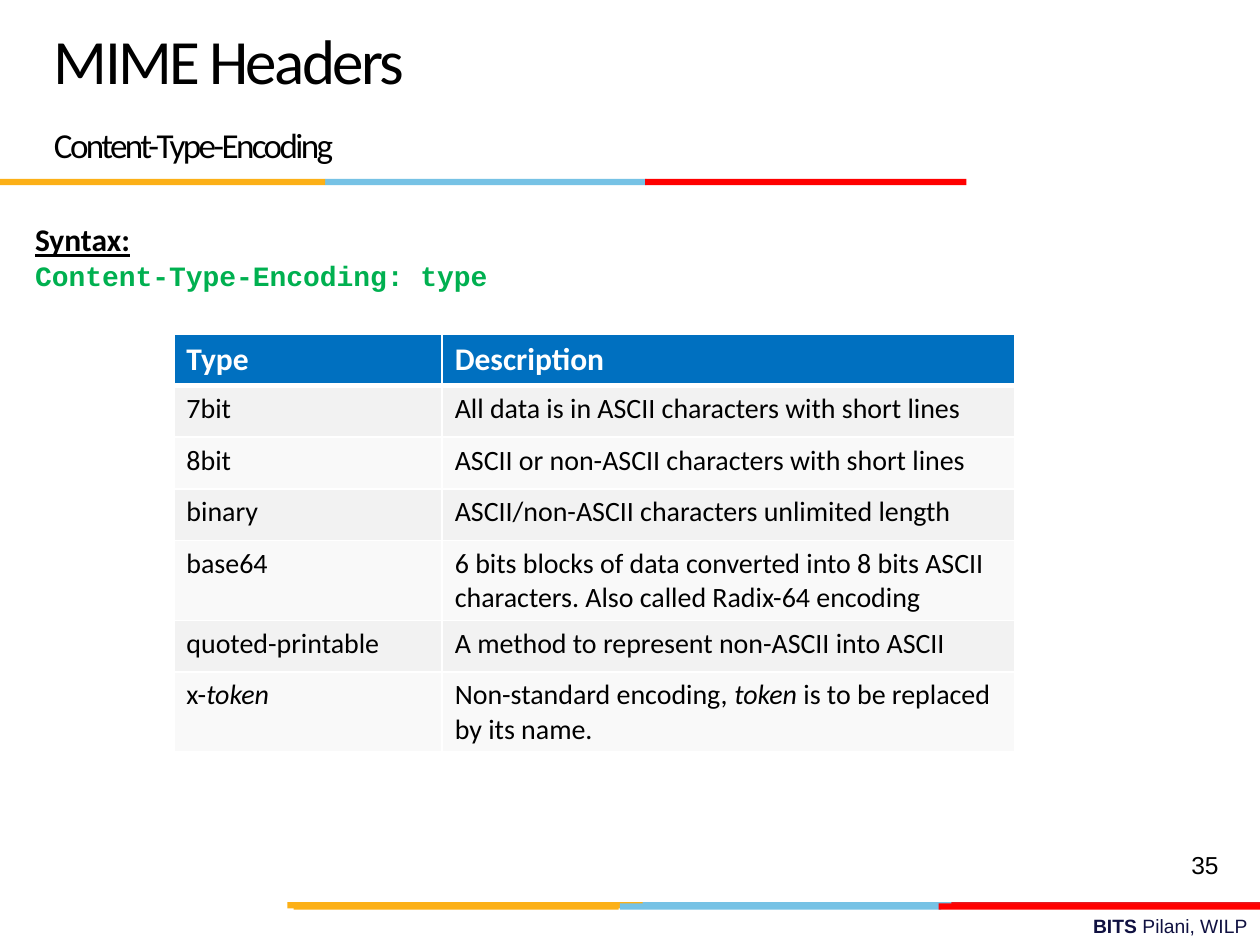
"""Build the MIME Headers slide on Content-Type-Encoding values."""
from dataclasses import dataclass
from typing import NamedTuple

from lxml import etree
from pptx import Presentation
from pptx import util as u
from pptx.dml.color import RGBColor
from pptx.enum import shapes, text
from pptx.oxml.ns import qn


@dataclass(frozen=True)
class Theme:
    heading_font: str = "Calibri"
    code_font: str = "Courier New"
    footer_font: str = "Arial"
    ink: str = "000000"
    navy: str = "101141"
    green: str = "00B050"
    white: str = "FFFFFF"
    header: str = "0070C0"
    stripes: tuple = ("F2F2F2", "F9F9F9")
    yellow: str = "FCB017"
    blue: str = "76C2E5"
    crimson: str = "E31C24"
    red: str = "FF0000"
    title: int = 36
    subtitle: int = 20
    label: int = 18
    body: int = 16
    number: int = 14
    footer: int = 11


THEME = Theme()


class Band(NamedTuple):
    left: float
    top: float
    width: float
    color: str


class Run(NamedTuple):
    words: str
    bold: bool = False
    italic: bool = False


class Line(NamedTuple):
    runs: tuple
    size: int
    font: str = THEME.heading_font
    color: str = THEME.ink
    align: text.PP_ALIGN = text.PP_ALIGN.LEFT
    underline: bool = False
    tracking: float = 0
    spacing: float = 0
    before: float = 0


class Encoding(NamedTuple):
    kind: tuple
    description: tuple


BANDS = (
    Band(5.06, 7.16, 2.55, THEME.blue),
    Band(7.55, 7.16, 2.45, THEME.crimson),
    Band(2.28, 7.16, 2.82, THEME.yellow),
    Band(4.92, 7.17, 2.55, THEME.blue),
    Band(2.33, 7.17, 2.58, THEME.yellow),
    Band(7.45, 7.17, 2.55, THEME.red),
    Band(2.58, 1.42, 2.55, THEME.blue),
    Band(0, 1.42, 2.58, THEME.yellow),
    Band(5.12, 1.42, 2.55, THEME.red),
)

ENCODINGS = (
    Encoding((Run("7bit"),), (Run("All data is in ASCII characters with short lines"),)),
    Encoding((Run("8bit"),), (Run("ASCII or non-ASCII characters with short lines"),)),
    Encoding((Run("binary"),), (Run("ASCII/non-ASCII characters unlimited length"),)),
    Encoding((Run("base64"),), (Run("6 bits blocks of data converted into 8 bits ASCII "
                                    "characters. Also called Radix-64 encoding"),)),
    Encoding((Run("quoted-printable"),), (Run("A method to represent non-ASCII into ASCII"),)),
    Encoding((Run("x-"), Run("token", italic=True)),
             (Run("Non-standard encoding, "), Run("token", italic=True),
              Run(" is to be replaced by its name."))),
)


def draw_band(slide, band: Band) -> None:
    bar = slide.shapes.add_shape(
        shapes.MSO_SHAPE.RECTANGLE, u.Inches(band.left), u.Inches(band.top),
        u.Inches(band.width), u.Inches(0.05))
    bar.shadow.inherit = False
    bar.fill.solid()
    bar.fill.fore_color.rgb = RGBColor.from_string(band.color)
    bar.line.fill.background()


def write_line(paragraph, line: Line) -> None:
    paragraph.alignment = line.align
    if line.spacing:
        paragraph.line_spacing = u.Pt(line.spacing)
    if line.before:
        paragraph.space_before = u.Pt(line.before)
    font = paragraph.font
    font.name, font.size, font.underline = line.font, u.Pt(line.size), line.underline
    font.color.rgb = RGBColor.from_string(line.color)
    for part in line.runs:
        run = paragraph.add_run()
        run.text = part.words
        run.font.bold, run.font.italic = part.bold, part.italic
        if line.tracking:
            run._r.get_or_add_rPr().set("spc", str(round(line.tracking * 100)))


def draw_text(slide, left: float, top: float, width: float, height: float,
              lines: tuple, anchor=text.MSO_ANCHOR.TOP) -> None:
    frame = slide.shapes.add_textbox(
        u.Inches(left), u.Inches(top), u.Inches(width), u.Inches(height)).text_frame
    frame.word_wrap = True
    frame.vertical_anchor = anchor
    for index, line in enumerate(lines):
        write_line(frame.add_paragraph() if index else frame.paragraphs[0], line)


def draw_cell(cell, line: Line, fill: str, borders: dict) -> None:
    properties = cell._tc.get_or_add_tcPr()
    for side, points in borders.items():
        edge = etree.SubElement(properties, qn(f"a:ln{side}"), w=str(u.Pt(points)))
        paint = etree.SubElement(edge, qn("a:solidFill"))
        etree.SubElement(paint, qn("a:srgbClr"), val=THEME.white)
    cell.fill.solid()
    cell.fill.fore_color.rgb = RGBColor.from_string(fill)
    write_line(cell.text_frame.paragraphs[0], line)


def draw_encodings(slide, left: float, top: float, widths: tuple, row_height: float) -> None:
    count = len(ENCODINGS) + 1
    table = slide.shapes.add_table(
        count, len(widths), u.Inches(left), u.Inches(top),
        u.Inches(sum(widths)), u.Inches(row_height * count)).table
    for column, width in zip(table.columns, widths):
        column.width = u.Inches(width)
    for row in table.rows:
        row.height = u.Inches(row_height)
    for column, heading in enumerate(("Type", "Description")):
        draw_cell(table.cell(0, column),
                  Line((Run(heading, bold=True),), THEME.label, color=THEME.white),
                  THEME.header, {"L": 1, "R": 1, "T": 1, "B": 3})
    for row, encoding in enumerate(ENCODINGS, start=1):
        borders = {"L": 1, "R": 1, "T": 3 if row == 1 else 1, "B": 1}
        for column, runs in enumerate(encoding):
            draw_cell(table.cell(row, column), Line(runs, THEME.body),
                      THEME.stripes[(row - 1) % 2], borders)


def main() -> None:
    deck = Presentation()
    deck.slide_width, deck.slide_height = u.Inches(10), u.Inches(7.5)
    slide = deck.slides.add_slide(deck.slide_layouts[6])
    right, justify = text.PP_ALIGN.RIGHT, text.PP_ALIGN.JUSTIFY
    draw_text(slide, 3.58, 7.21, 6.42, 0.29, (
        Line((Run("BITS ", bold=True), Run("Pilani, WILP")), THEME.footer,
             THEME.footer_font, THEME.navy, right),))
    for band in BANDS:
        draw_band(slide, band)
    draw_text(slide, 0.33, 0.17, 6.92, 1.25, (
        Line((Run("MIME Headers"),), THEME.title, tracking=-1.5, spacing=36),
        Line((Run("Content-Type-Encoding"),), THEME.subtitle, tracking=-1.5,
             spacing=36, before=3)), text.MSO_ANCHOR.MIDDLE)
    draw_text(slide, 7.44, 6.66, 2.33, 0.4, (
        Line((Run("35"),), THEME.number, THEME.footer_font, align=right),),
        text.MSO_ANCHOR.MIDDLE)
    draw_text(slide, 0.18, 1.7, 3.85, 0.67, (
        Line((Run("Syntax:", bold=True),), THEME.label, align=justify, underline=True),
        Line((Run("Content-Type-Encoding: type", bold=True),), THEME.body,
             THEME.code_font, THEME.green, justify)))
    draw_encodings(slide, 1.38, 2.65, (2.13, 4.54), 0.41)
    deck.save("out.pptx")


if __name__ == "__main__":
    main()
